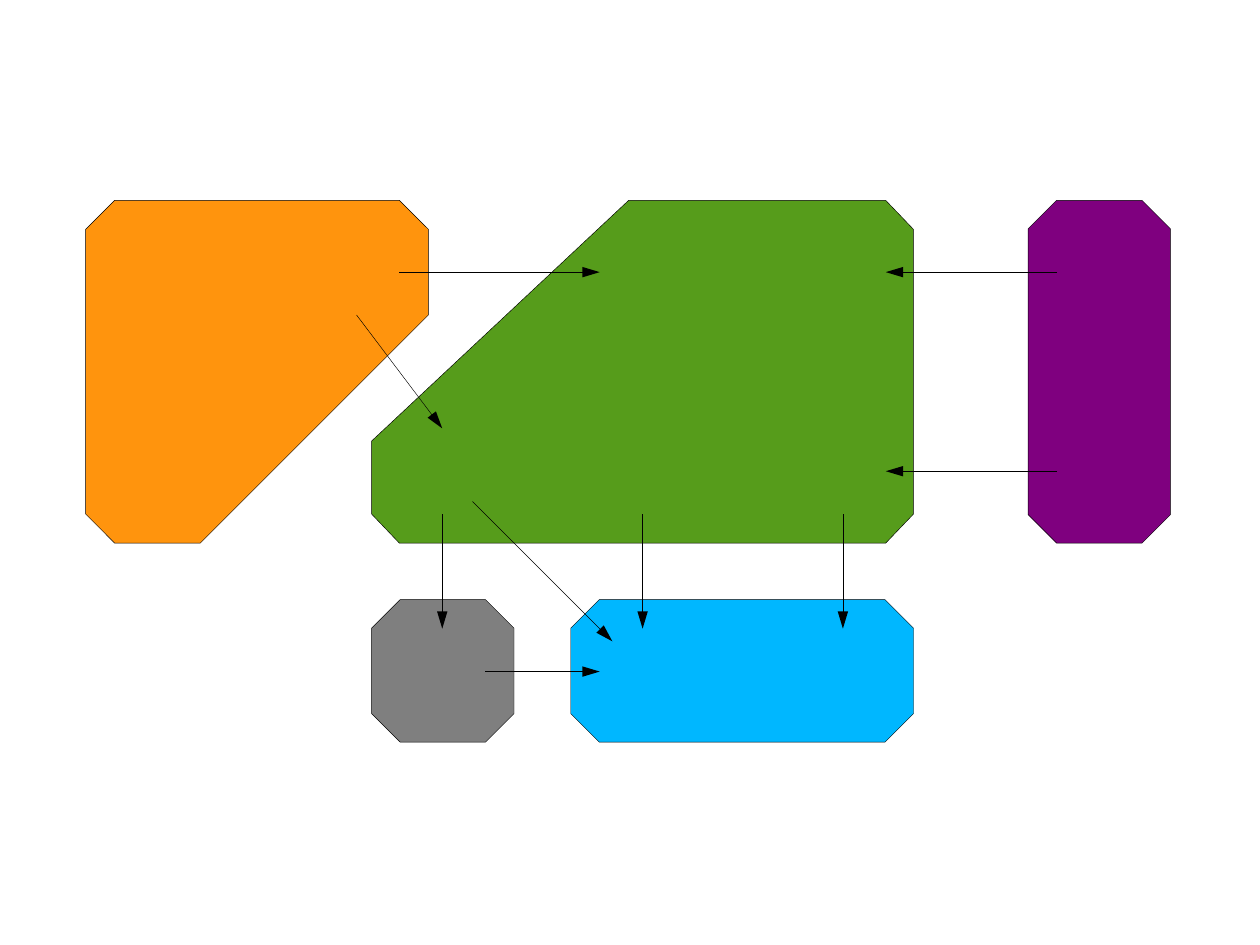
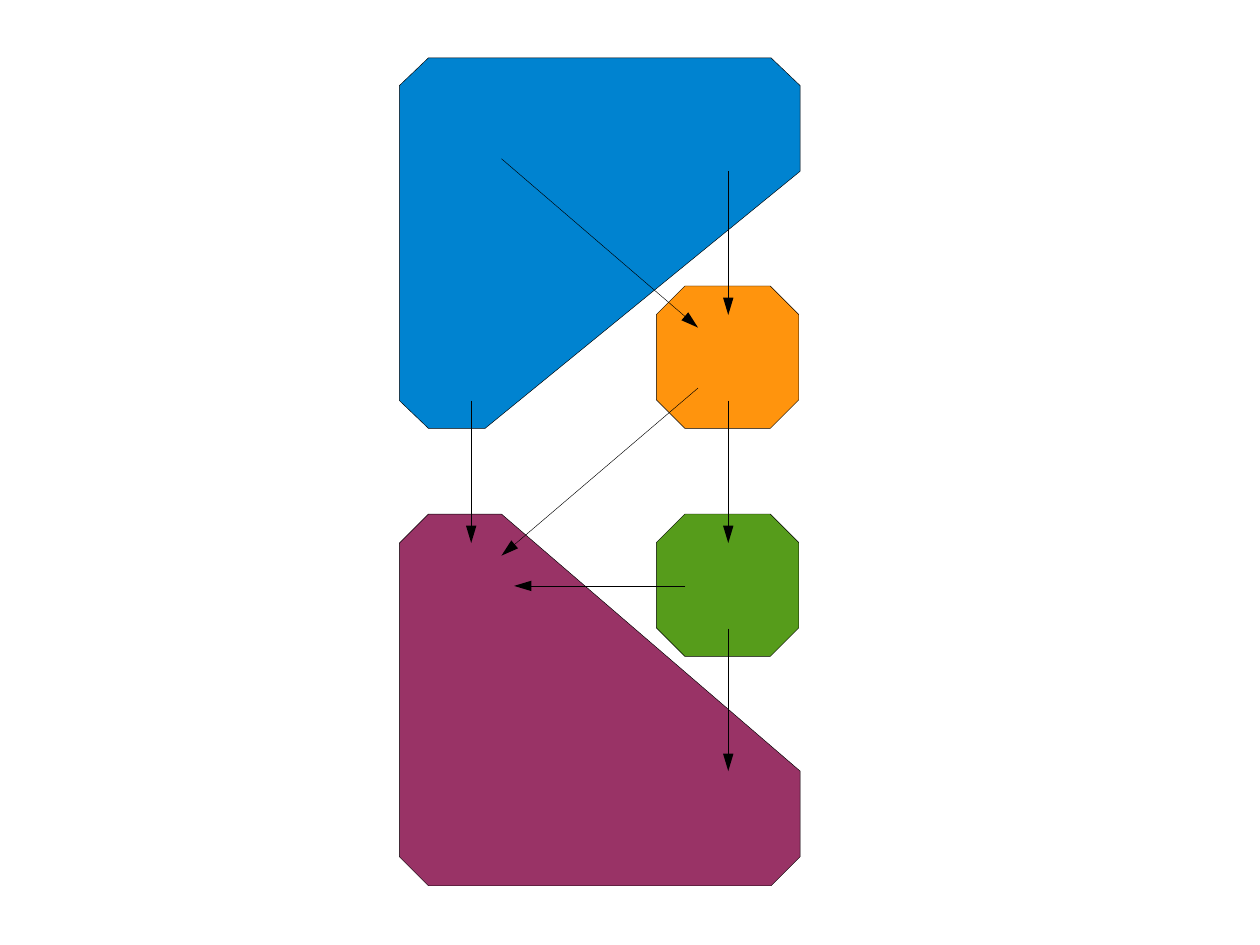
from lxml import etree
from pptx import Presentation
from pptx import util as u
from pptx.dml.color import RGBColor
from pptx.enum import shapes
from pptx.oxml import ns

COLORS = {
    "line": "000000", "sky": "00B7FF", "gray": "7F7F7F", "purple": "7F007F",
    "green": "569C1B", "orange": "FF940D", "plum": "993366", "blue": "0083D0",
}
LINE_WIDTH = u.Pt(0.25)
CORNER = 0.2  # corner cut as a share of an octagon's short side

# Each slide: octagons (left, top, width, height), slanted outlines, arrows (from, to)
SLIDES = [
    {
        "octagons": [
            ("sky", 4.53, 4.76, 2.72, 1.13),
            ("gray", 2.95, 4.76, 1.13, 1.13),
            ("purple", 8.16, 1.59, 1.13, 2.72),
        ],
        "slanted": [
            ("green", [(2.95, 4.08), (2.95, 3.5), (4.99, 1.59), (7.03, 1.59),
                       (7.25, 1.82), (7.25, 4.08), (7.03, 4.31), (3.17, 4.31)]),
            ("orange", [(0.68, 4.08), (0.68, 1.82), (0.91, 1.59), (3.17, 1.59),
                        (3.4, 1.82), (3.4, 2.5), (1.59, 4.31), (0.91, 4.31)]),
        ],
        "arrows": [
            (2.83, 2.5, 3.51, 3.4), (3.17, 2.16, 4.76, 2.16),
            (3.51, 4.08, 3.51, 4.99), (3.85, 5.33, 4.76, 5.33),
            (5.1, 4.08, 5.1, 4.99), (6.69, 4.08, 6.69, 4.99),
            (3.75, 3.98, 4.86, 5.09), (8.39, 3.74, 7.03, 3.74),
            (8.39, 2.16, 7.03, 2.16),
        ],
    },
    {
        "octagons": [
            ("green", 5.21, 4.08, 1.13, 1.13),
            ("orange", 5.21, 2.27, 1.13, 1.13),
        ],
        "slanted": [
            ("plum", [(3.17, 4.31), (3.4, 4.08), (3.98, 4.08), (6.35, 6.12),
                      (6.35, 6.8), (6.12, 7.03), (3.4, 7.03), (3.17, 6.8)]),
            ("blue", [(3.17, 3.18), (3.17, 0.68), (3.4, 0.46), (6.12, 0.46),
                      (6.35, 0.68), (6.35, 1.36), (3.85, 3.4), (3.4, 3.4)]),
        ],
        "arrows": [
            (3.98, 1.26, 5.54, 2.6), (5.78, 1.36, 5.78, 2.5),
            (5.78, 3.18, 5.78, 4.31), (5.54, 3.08, 3.98, 4.41),
            (5.44, 4.65, 4.08, 4.65), (5.78, 4.99, 5.78, 6.12),
            (3.74, 3.18, 3.74, 4.31),
        ],
    },
]


def outline(sp):
    sp.line.color.rgb = RGBColor.from_string(COLORS["line"])
    sp.line.width = LINE_WIDTH


def paint(sp, color):
    sp.shadow.inherit = False
    sp.fill.solid()
    sp.fill.fore_color.rgb = RGBColor.from_string(COLORS[color])
    outline(sp)


prs = Presentation()
prs.slide_width, prs.slide_height = u.Inches(10), u.Inches(7.5)

for layout in SLIDES:
    s = prs.slides.add_slide(prs.slide_layouts[6])

    # Regular blocks
    for color, *box in layout["octagons"]:
        sp = s.shapes.add_shape(shapes.MSO_SHAPE.OCTAGON, *map(u.Inches, box))
        sp.adjustments[0] = CORNER
        paint(sp, color)

    # Blocks with one slanted side
    for color, corners in layout["slanted"]:
        points = [(u.Inches(x), u.Inches(y)) for x, y in corners]
        builder = s.shapes.build_freeform(*points[0])
        builder.add_line_segments(points[1:], close=True)
        paint(builder.convert_to_shape(), color)

    # Arrows between blocks
    for ends in layout["arrows"]:
        arrow = s.shapes.add_connector(shapes.MSO_CONNECTOR.STRAIGHT, *map(u.Inches, ends))
        outline(arrow)
        etree.SubElement(arrow.line._get_or_add_ln(), ns.qn("a:tailEnd"),
                         type="triangle", w="med", len="lg")
        etree.SubElement(arrow._element.spPr, ns.qn("a:effectLst"))

prs.save("out.pptx")
